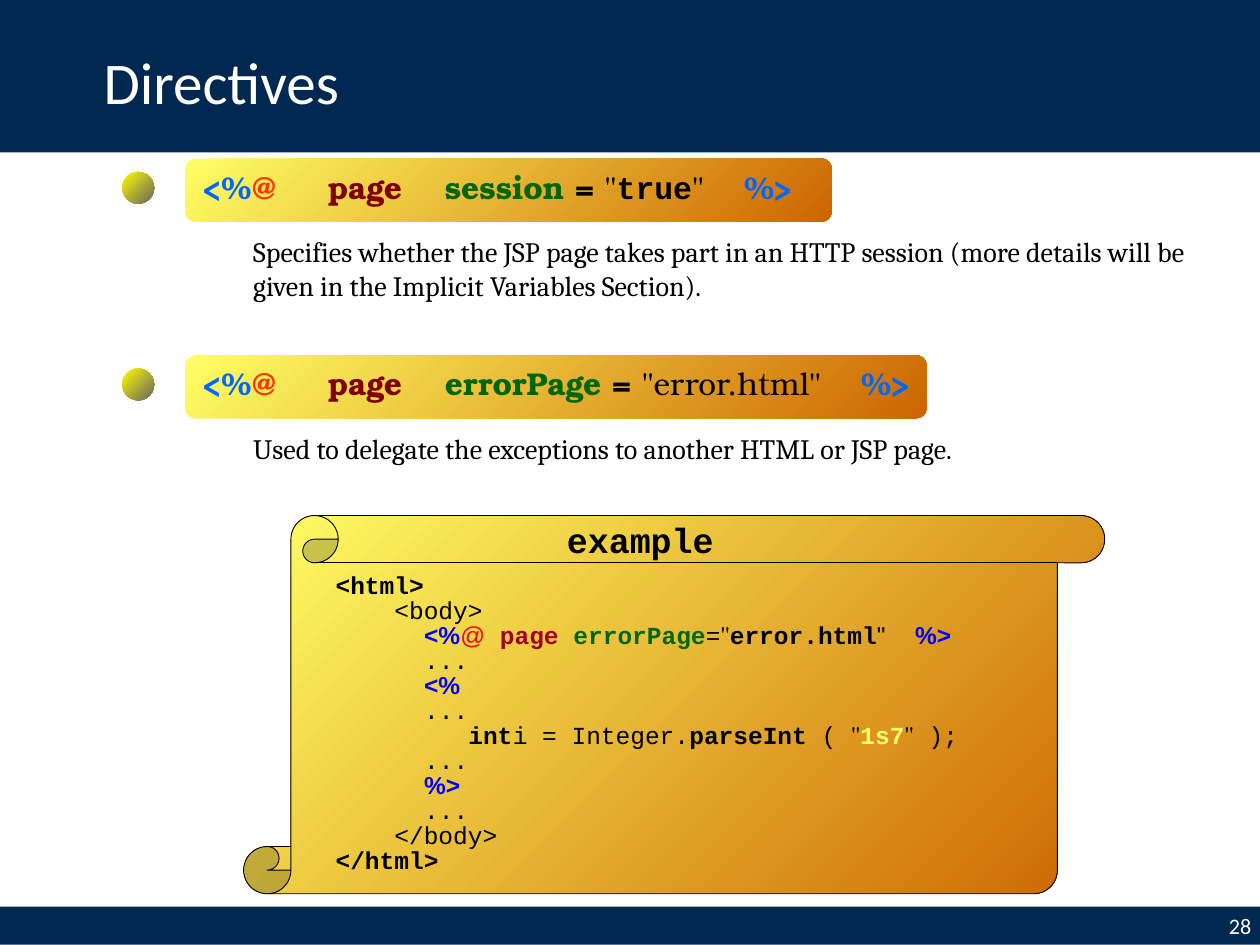
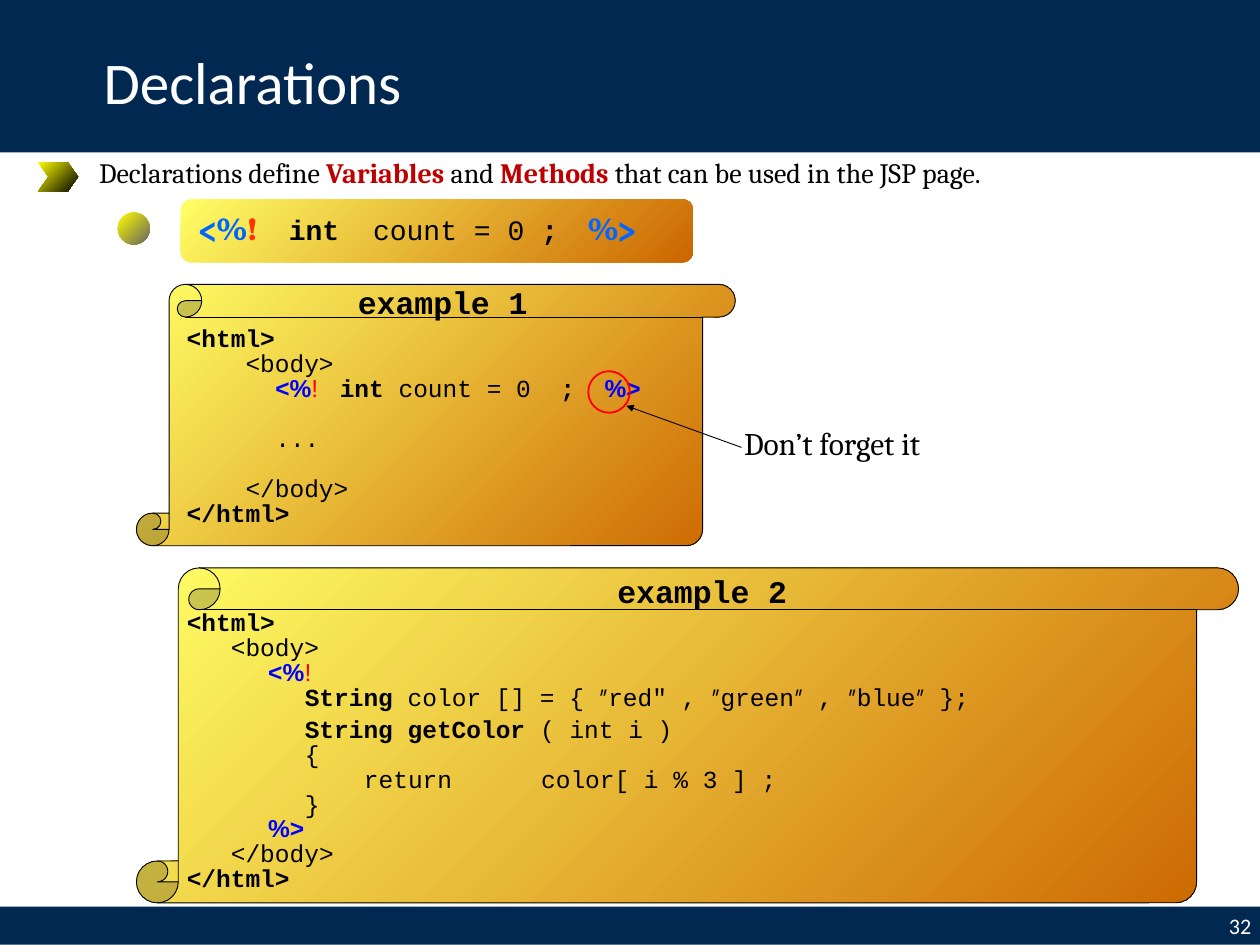
"""Build two slides on JSP directives and declarations."""
import lxml.etree
import pptx
import pptx.dml.color
import pptx.enum.dml
import pptx.enum.shapes
import pptx.enum.text
import pptx.oxml.ns
import pptx.util

Pt = pptx.util.Pt
SHAPE = pptx.enum.shapes.MSO_SHAPE
ALIGN = pptx.enum.text.PP_ALIGN
ANCHOR = pptx.enum.text.MSO_ANCHOR
qn = pptx.oxml.ns.qn

THEME = {
    "band": ["002850"],
    "panel": ["FFFF66", "CC6600"],
    "dot": ["FFFF00", "696464"],
    "arrow": ["FFFF00", "000000"],
    "outline": "000000",
    "alert": "FF0000",
    "size": {"title": 48, "page": 18, "prose": 22.8, "syntax": 25.6,
             "heading": 28.4, "code": 19.9},
    "style": {
        "light": ("Calibri", False, "FFFFFF"),
        "prose": ("Cambria", False, "000000"),
        "term": ("Cambria", True, "C00000"),
        "mark": ("TeX Gyre Bonum", True, "0066FF"),
        "sign": ("TeX Gyre Bonum", True, "FF3300"),
        "directive": ("TeX Gyre Bonum", True, "800000"),
        "attribute": ("TeX Gyre Bonum", True, "006600"),
        "equals": ("TeX Gyre Bonum", True, "000000"),
        "quote": ("TeX Gyre Bonum", False, "000000"),
        "code": ("Courier New", False, "000000"),
        "strong": ("Courier New", True, "000000"),
        "code mark": ("Arial", True, "0000FF"),
        "code sign": ("Arial", False, "FF0000"),
        "code directive": ("Courier New", True, "A50021"),
        "code attribute": ("Courier New", True, "006600"),
        "code quote": ("Arial", False, "000000"),
        "value": ("Courier New", True, "FFFF66"),
    },
}
SIZE = THEME["size"]
CODE_LINE = 20.3
TAB_WIDTH = 72


def paint(slide, kind, box, colours, outline=None, weight=0.75):
    """Draw a preset shape with no fill, a solid fill or a diagonal gradient."""
    shape = slide.shapes.add_shape(kind, *map(Pt, box))
    shape.shadow.inherit = False
    if len(colours) == 2:
        shape.fill.gradient()
        shape.fill.gradient_angle = 315
        for stop, colour in zip(shape.fill.gradient_stops, colours):
            stop.color.rgb = pptx.dml.color.RGBColor.from_string(colour)
    elif colours:
        shape.fill.solid()
        shape.fill.fore_color.rgb = pptx.dml.color.RGBColor.from_string(colours[0])
    else:
        shape.fill.background()
    if outline:
        shape.line.color.rgb = pptx.dml.color.RGBColor.from_string(outline)
        shape.line.width = Pt(weight)
    else:
        shape.line.fill.background()
    return shape


def write(frame, lines, size, spacing=1.0, indent=0,
          align=ALIGN.LEFT, anchor=ANCHOR.TOP):
    """Fill a text frame with lines, each a gap before it and its styled runs."""
    frame.word_wrap = True
    frame.vertical_anchor = anchor
    for index, (gap, runs) in enumerate(lines):
        paragraph = frame.add_paragraph() if index else frame.paragraphs[0]
        properties = paragraph._p.get_or_add_pPr()
        for name, value in {"marL": indent, "indent": 0, "defTabSz": TAB_WIDTH}.items():
            properties.set(name, str(Pt(value)))
        layout_values = {"alignment": align, "line_spacing": spacing}
        if gap:
            layout_values["space_before"] = Pt(gap)
        for name, value in layout_values.items():
            setattr(paragraph, name, value)
        for style, text, *own_size in runs:
            run = paragraph.add_run()
            run.text = text
            family, bold, colour = THEME["style"][style]
            font_values = {"name": family, "bold": bold,
                           "size": Pt(own_size[0] if own_size else size)}
            for name, value in font_values.items():
                setattr(run.font, name, value)
            run.font.color.rgb = pptx.dml.color.RGBColor.from_string(colour)


directive_start = [("mark", "<%"), ("sign", "@ "), ("quote", "    "),
                   ("directive", "page    ")]
html_end = (0, [("strong", "</html>")])
html_start = (0, [("strong", "<html>")])
dots = (0, [("code", "\t...")])

directives = {
    "title": "Directives",
    "page": "28",
    "syntax": [
        ((150.5, 128.9, 525.6), directive_start + [
            ("attribute", "session "), ("equals", "= "), ("quote", '"'),
            ("strong", "true"), ("quote", '"    '), ("mark", "%>")]),
        ((150.5, 288.7, 602.6), directive_start + [
            ("attribute", "errorPage "), ("equals", "= "),
            ("quote", '"error.html"    '), ("mark", "%>")]),
    ],
    "prose": [
        ((198.7, 187.2, 793.4, 62.6), SIZE["prose"], [
            ("prose", "Specifies whether the JSP page takes part in an HTTP session "
                      "(more details will be given in the Implicit Variables Section).")]),
        ((198.7, 347, 793.4, 34.6), SIZE["prose"], [
            ("prose", "Used to delegate the exceptions to another HTML or JSP page.")]),
    ],
    "examples": [{
        "scroll": (198, 419, 699.8, 307.4),
        "heading": ("example", (453.6, 417.6, 179.3, 41.8), SIZE["heading"]),
        "code box": (265.7, 463.7, 640, 254.2),
        "code": [
            html_start,
            (0, [("code", "    <body>")]),
            (0, [("code", "\t"), ("code mark", "<%"), ("code sign", "@"), ("code", " "),
                 ("code directive", "page "), ("code attribute", "errorPage"),
                 ("code", "="), ("quote", '"'), ("strong", "error.html"),
                 ("code quote", '"'), ("code", "  "), ("code mark", "%>")]),
            dots,
            (0, [("code", "\t"), ("code mark", "<%")]),
            dots,
            (0, [("code", "\t   "), ("strong", "int"), ("code", "\ti = Integer."),
                 ("strong", "parseInt"), ("code", " ( "), ("quote", '"'),
                 ("value", "1s7"), ("quote", '"'), ("code", " );")]),
            dots,
            (0, [("code", "\t"), ("code mark", "%>")]),
            dots,
            (0, [("code", "    </body>")]),
            html_end,
        ],
    }],
}

declarations = {
    "title": "Declarations",
    "page": "32",
    "syntax": [
        ((146.9, 162, 416.2), [
            ("mark", "<%"), ("sign", "! "), ("quote", "  "),
            ("strong", "int", SIZE["prose"]), ("code", "  count = 0 ", SIZE["prose"]),
            ("strong", ";", SIZE["prose"]), ("quote", "   "), ("mark", "%>")]),
    ],
    "prose": [
        ((73.4, 123.1, 870.5, 34.6), SIZE["prose"], [
            ("prose", "Declarations define "), ("term", "Variables"), ("prose", " and "),
            ("term", "Methods"), ("prose", " that can be used in the JSP page.")]),
        ((597.6, 341.3, 196.6, 38.2), SIZE["syntax"], [("prose", "Don’t forget it")]),
    ],
    "examples": [{
        "scroll": (110.9, 231.1, 486.7, 212.4),
        "heading": ("example 1", (283.7, 226.8, 179.3, 38.2), SIZE["syntax"]),
        "code box": (144.7, 262.8, 486.7, 172.1),
        "code": [
            html_start,
            (0, [("code", "    <body>")]),
            (0, [("code", "\t"), ("code mark", "<%"), ("code sign", "! "), ("code", " "),
                 ("strong", "int "), ("code", "count = 0 "), ("strong", " ;  "),
                 ("code mark", "%>")]),
            (CODE_LINE, [("code", "\t...")]),
            (CODE_LINE, [("code", "    </body>")]),
            html_end,
        ],
    }, {
        "scroll": (110.9, 461.5, 895.7, 272.2),
        "heading": ("example 2", (494.6, 461.5, 179.3, 38.2), SIZE["syntax"]),
        "code box": (144.7, 493.2, 879.1, 239.8),
        "code": [
            html_start,
            (0, [("code", "   <body>")]),
            (0, [("code mark", "            <%"), ("code sign", "!")]),
            (0, [("code", "\t  "), ("strong", "String "), ("code", "color [] = { "),
                 ("quote", "″"), ("code", "red″ , "), ("quote", "″"), ("code", "green"),
                 ("quote", "″"), ("code", " , "), ("quote", "″"), ("code", "blue"),
                 ("quote", "″"), ("code", " };")]),
            (5.7, [("code", "\t  "), ("strong", "String getColor"), ("code", " ( int i )")]),
            (0, [("code", "\t  {")]),
            (0, [("code", "\t\treturn \tcolor[ i % 3 ] ;")]),
            (0, [("code", "\t  }")]),
            (0, [("code mark", "            %>")]),
            (0, [("code", "   </body>")]),
            html_end,
        ],
    }],
}

deck = pptx.Presentation()
deck.slide_width, deck.slide_height = Pt(1024), Pt(768)
title_only = deck.slide_layouts[5]

for content in (directives, declarations):
    slide = deck.slides.add_slide(title_only)
    title = slide.shapes.title
    title_place = {"left": 77, "top": 12.2, "width": 870.5, "height": 113.8}
    for name, value in title_place.items():
        setattr(title, name, Pt(value))
    write(title.text_frame, [(0, [("light", content["title"])])], SIZE["title"],
          spacing=0.9, anchor=ANCHOR.MIDDLE)
    page_number = slide.shapes.add_textbox(*map(Pt, (0, 736.8, 1024, 31)))
    write(page_number.text_frame, [(0, [("light", content["page"])])], SIZE["page"],
          align=ALIGN.RIGHT, anchor=ANCHOR.MIDDLE)

    for (left, top, width), runs in content["syntax"]:
        paint(slide, SHAPE.ROUNDED_RECTANGLE, (left, top, width, 51.1), THEME["panel"])
        paint(slide, SHAPE.OVAL, (left - 51.1, top + 10.8, 25.9, 25.9), THEME["dot"])
        syntax = slide.shapes.add_textbox(*map(Pt, (left - 28.8, top + 4, 640, 38.2)))
        write(syntax.text_frame, [(0, runs)], SIZE["syntax"], indent=36)

    for box, size, runs in content["prose"]:
        prose = slide.shapes.add_textbox(*map(Pt, box))
        write(prose.text_frame, [(0, runs)], size)

    for example in content["examples"]:
        paint(slide, SHAPE.VERTICAL_SCROLL, example["scroll"], THEME["panel"],
              THEME["outline"])
        label, box, size = example["heading"]
        heading = slide.shapes.add_textbox(*map(Pt, box))
        write(heading.text_frame, [(0, [("strong", label)])], size)
        code = slide.shapes.add_textbox(*map(Pt, example["code box"]))
        write(code.text_frame, example["code"], SIZE["code"], spacing=0.85)

chevron = paint(slide, SHAPE.CHEVRON, (31, 131.8, 32.4, 23.8), THEME["arrow"])
chevron.adjustments[0] = 0.35
paint(slide, SHAPE.OVAL, (478.1, 301.7, 33.8, 33.8), [], THEME["alert"], 1.5)
pointer = slide.shapes.add_connector(
    pptx.enum.shapes.MSO_CONNECTOR.STRAIGHT, *map(Pt, (602.6, 363.6, 509, 329.8)))
pointer.line.color.rgb = pptx.dml.color.RGBColor.from_string(THEME["outline"])
pointer.line.width = Pt(0.75)
pointer_properties = pointer.element.spPr
lxml.etree.SubElement(pointer_properties.find(qn("a:ln")), qn("a:tailEnd"), type="triangle")
lxml.etree.SubElement(pointer_properties, qn("a:effectLst"))

for number, box in enumerate([(0, 0, 1024, 123.8), (0, 736.8, 1024, 31)], start=101):
    band = paint(slide, SHAPE.RECTANGLE, box, THEME["band"])
    band.element.nvSpPr.cNvPr.set("id", str(number))
    title_only.shapes.element.insert(2, band.element)

deck.save("out.pptx")
